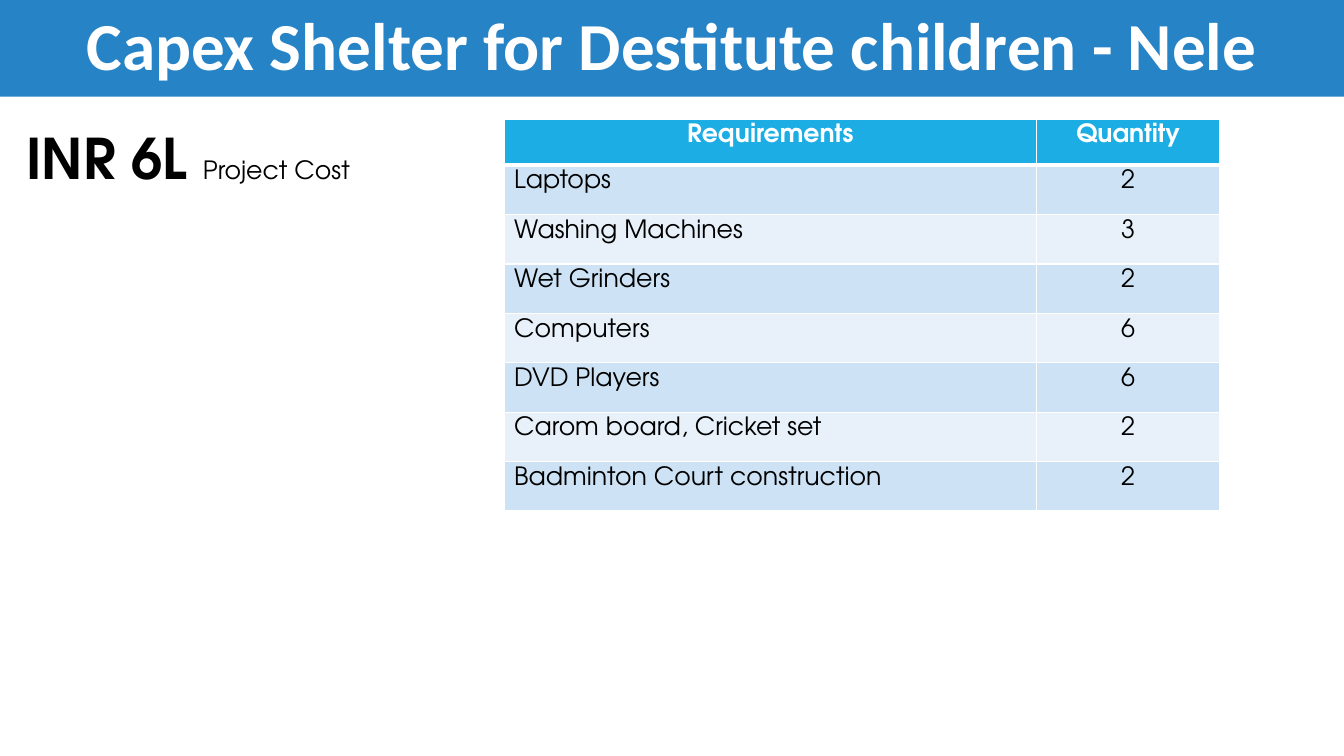
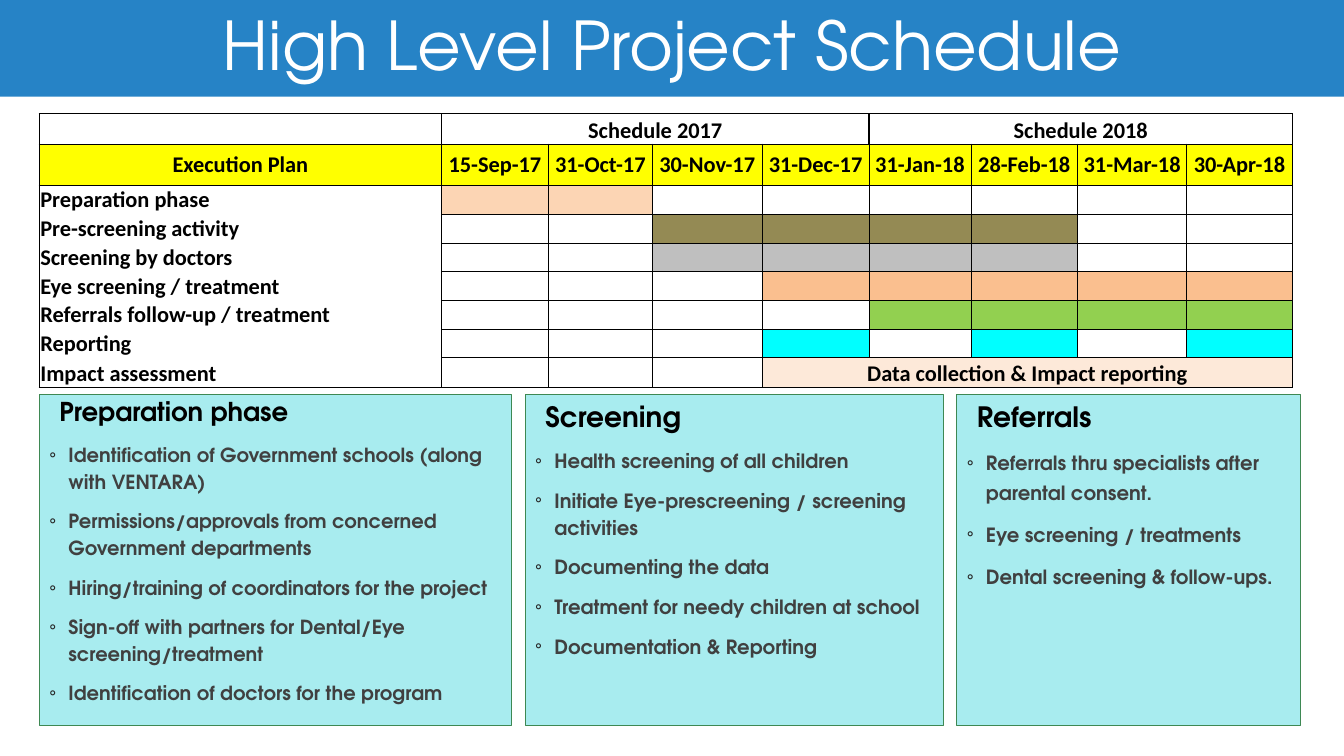
from lxml import etree
from pptx import Presentation
from pptx.dml.color import RGBColor
from pptx.enum import shapes, text
from pptx.oxml.ns import qn
from pptx.util import Inches, Pt


class Theme:
    sans, geometric = "Calibri", "TeX Gyre Adventor"
    band, white, black = "2683C6", "FFFFFF", "000000"
    head, row_dark, row_light = "1CADE4", "CDE3F5", "E8F1FA"
    panel, panel_line, body, bullet = "A8ECEF", "3E8853", "404040", "262626"
    yellow, peach, olive, grey = "FFFF00", "FCD5B4", "948A54", "BFBFBF"
    orange, green, cyan, blush = "FABF8F", "92D050", "00FFFF", "FDE9D9"
    title_size, figure_size, table_size, plan_size = 48, 40, 18, 16


def style(p, size, font, color, bold=False, align=None):
    """Format every run of a paragraph."""
    p.alignment = align
    for r in p.runs:
        r.font.size, r.font.name, r.font.bold = Pt(size), font, bold
        r.font.color.rgb = RGBColor.from_string(color)


def paint(cell, fill, color, widths):
    """Set cell borders (left, right, top, bottom; 0 is none) and fill."""
    tcPr = cell._tc.get_or_add_tcPr()
    for side, width in zip("LRTB", widths):
        ln = etree.SubElement(tcPr, qn(f"a:ln{side}"), w=str(Pt(width)))
        if width:
            solid = etree.SubElement(ln, qn("a:solidFill"))
            etree.SubElement(solid, qn("a:srgbClr"), val=color)
        else:
            etree.SubElement(ln, qn("a:noFill"))
    if fill:
        cell.fill.solid()
        cell.fill.fore_color.rgb = RGBColor.from_string(fill)
    else:
        cell.fill.background()


LEFT, CENTER = text.PP_ALIGN.LEFT, text.PP_ALIGN.CENTER
prs = Presentation()
prs.slide_width, prs.slide_height = Inches(13.33), Inches(7.5)

# Title bands
slides = []
for title, font, bold in [
    ("Capex Shelter for Destitute children - Nele", Theme.sans, True),
    ("High Level Project Schedule", Theme.geometric, False),
]:
    slide = prs.slides.add_slide(prs.slide_layouts[6])
    sp = slide.shapes.add_shape(shapes.MSO_SHAPE.RECTANGLE, 0, 0, prs.slide_width, Inches(0.96))
    sp.shadow.inherit = False
    sp.fill.solid()
    sp.fill.fore_color.rgb = RGBColor.from_string(Theme.band)
    sp.line.fill.background()
    tf = sp.text_frame
    tf.text = title
    tf.vertical_anchor = text.MSO_ANCHOR.MIDDLE
    tf.paragraphs[0].line_spacing = 0.9
    style(tf.paragraphs[0], Theme.title_size, font, Theme.white, bold, CENTER)
    slides.append(slide)
capex, schedule = slides

# Project cost
tf = capex.shapes.add_textbox(Inches(0.16), Inches(1.18), Inches(3.51), Inches(0.77)).text_frame
tf.word_wrap = False
p = tf.paragraphs[0]
p.text = "INR 6L "
style(p, Theme.figure_size, Theme.geometric, Theme.black, True, LEFT)
r = p.add_run()
r.text = "Project Cost"
r.font.size, r.font.name = Pt(Theme.table_size), Theme.geometric
r.font.color.rgb = RGBColor.from_string(Theme.black)

# Requirements table
requirements = [
    ("Requirements", "Quantity"),
    ("Laptops", "2"),
    ("Washing Machines", "3"),
    ("Wet Grinders", "2"),
    ("Computers", "6"),
    ("DVD Players", "6"),
    ("Carom board, Cricket set", "2"),
    ("Badminton Court construction", "2"),
]
table = capex.shapes.add_table(
    len(requirements), 2, Inches(5), Inches(1.18), Inches(7.1), Inches(3.89)).table
table.columns[0].width, table.columns[1].width = Inches(5.28), Inches(1.82)
for row, values in enumerate(requirements):
    header = row == 0
    table.rows[row].height = Inches(0.46 if header else 0.49)
    fill = Theme.head if header else (Theme.row_light, Theme.row_dark)[row % 2]
    for col, value in enumerate(values):
        cell = table.cell(row, col)
        cell.margin_top = Inches(0.05)
        cell.text = value
        style(cell.text_frame.paragraphs[0], Theme.table_size, Theme.geometric,
              Theme.white if header else Theme.black, header,
              CENTER if header or col else LEFT)
        paint(cell, fill, Theme.white, (1, 1, 3 if row == 1 else 1, 3 if header else 1))

# Phase panels: left, width, heading size, heading spacing, body size, body spacing
panels = [
    (0.39, 4.68, 18.5, 0.9, 13.9, 1.15, "Preparation phase", [
        "Identification of Government schools (along with VENTARA)",
        "Permissions/approvals from concerned Government departments",
        "Hiring/training of coordinators for the project",
        "Sign-off with partners for Dental/Eye screening/treatment",
        "Identification of doctors for the program"]),
    (5.21, 4.15, 20, 1.0, 14, 1.15, "Screening", [
        "Health screening of all children",
        "Initiate Eye-prescreening / screening activities",
        "Documenting the data",
        "Treatment for needy children at school",
        "Documentation & Reporting"]),
    (9.49, 3.41, 20, 1.0, 14, 1.25, "Referrals", [
        "Referrals thru specialists after parental consent.",
        "Eye screening / treatments",
        "Dental screening & follow-ups."]),
]
for left, width, head_size, head_spacing, size, spacing, heading, items in panels:
    sp = schedule.shapes.add_shape(
        shapes.MSO_SHAPE.RECTANGLE, Inches(left), Inches(3.91), Inches(width), Inches(3.29))
    sp.shadow.inherit = False
    sp.fill.solid()
    sp.fill.fore_color.rgb = RGBColor.from_string(Theme.panel)
    sp.line.color.rgb = RGBColor.from_string(Theme.panel_line)
    sp.line.width = Pt(0.5)
    tf = sp.text_frame
    tf.word_wrap = True
    tf.vertical_anchor = text.MSO_ANCHOR.TOP
    p = tf.paragraphs[0]
    p.text = heading
    p.line_spacing, p.space_before = head_spacing, Pt(6)
    p._p.get_or_add_pPr().set("marL", str(Inches(0.1)))
    style(p, head_size, Theme.geometric, Theme.black, True, text.PP_ALIGN.JUSTIFY)
    for item in items:
        p = tf.add_paragraph()
        p.text = item
        p.line_spacing, p.space_before = spacing, Pt(9)
        style(p, size, Theme.geometric, Theme.body, True, LEFT)
        pPr = p._p.get_or_add_pPr()
        pPr.set("marL", str(Inches(0.19)))
        pPr.set("indent", str(-Inches(0.19)))
        color = etree.SubElement(pPr, qn("a:buClr"))
        etree.SubElement(color, qn("a:srgbClr"), val=Theme.bullet)
        etree.SubElement(pPr, qn("a:buFont"), typeface=Theme.sans)
        etree.SubElement(pPr, qn("a:buChar"), char="◦")

# Schedule: each activity with its bar colour and the columns it fills
dates = ["15-Sep-17", "31-Oct-17", "30-Nov-17", "31-Dec-17",
         "31-Jan-18", "28-Feb-18", "31-Mar-18", "30-Apr-18"]
activities = [
    ("Preparation phase", Theme.peach, (1, 2)),
    ("Pre-screening activity", Theme.olive, (3, 4, 5, 6)),
    ("Screening by doctors", Theme.grey, (3, 4, 5, 6)),
    ("Eye screening / treatment", Theme.orange, (4, 5, 6, 7, 8)),
    ("Referrals follow-up / treatment", Theme.green, (5, 6, 7, 8)),
    ("Reporting", Theme.cyan, (4, 6, 8)),
    ("Impact assessment", Theme.blush, (4, 5, 6, 7, 8)),
]
labels = {(0, 1): "Schedule 2017", (0, 5): "Schedule 2018", (1, 0): "Execution Plan",
          (8, 4): "Data collection & Impact reporting"}
labels.update({(1, col): date for col, date in enumerate(dates, 1)})
labels.update({(row, 0): activity[0] for row, activity in enumerate(activities, 2)})
fills = {(1, col): Theme.yellow for col in range(9)}
fills.update({(row, col): color for row, (_, color, cols) in enumerate(activities, 2)
              for col in cols})

table = schedule.shapes.add_table(
    9, 9, Inches(0.39), Inches(1.13), Inches(12.43), Inches(2.72)).table
for col, width in enumerate([3.99, 1.06, 1.03, 1.09, 1.06, 1.01, 1.06, 1.08, 1.05]):
    table.columns[col].width = Inches(width)
activity_height = (2.72 - 0.3 - 0.41 - 0.3) / 6
for row, height in enumerate([0.3, 0.41] + [activity_height] * 6 + [0.3]):
    table.rows[row].height = Inches(height)
    for col in range(9):
        cell = table.cell(row, col)
        cell.margin_left = cell.margin_right = cell.margin_top = Inches(0.01)
        cell.margin_bottom = 0
        cell.vertical_anchor = (
            text.MSO_ANCHOR.BOTTOM if row in (0, 8) else text.MSO_ANCHOR.MIDDLE)
        p = cell.text_frame.paragraphs[0]
        if (row, col) in labels:
            p.text = labels[row, col]
            style(p, Theme.plan_size, Theme.sans, Theme.black, True,
                  LEFT if col == 0 and row > 1 else CENTER)
        else:
            p._p.get_or_add_endParaRPr().set("sz", "1200")
        # Heavy frame, thin grid, no rules between activity names
        top = 1 if row <= 1 else 0 if col == 0 and row > 2 else 0.5
        bottom = 1 if row in (0, 8) else 0 if col == 0 and row > 1 else 0.5
        paint(cell, fills.get((row, col)), Theme.black,
              (1 if col <= 1 or row == 0 else 0.5,
               1 if col in (0, 8) or row == 0 else 0.5, top, bottom))
for row, first, last in [(0, 1, 4), (0, 5, 8), (8, 4, 8)]:
    table.cell(row, first).merge(table.cell(row, last))

prs.save("out.pptx")
